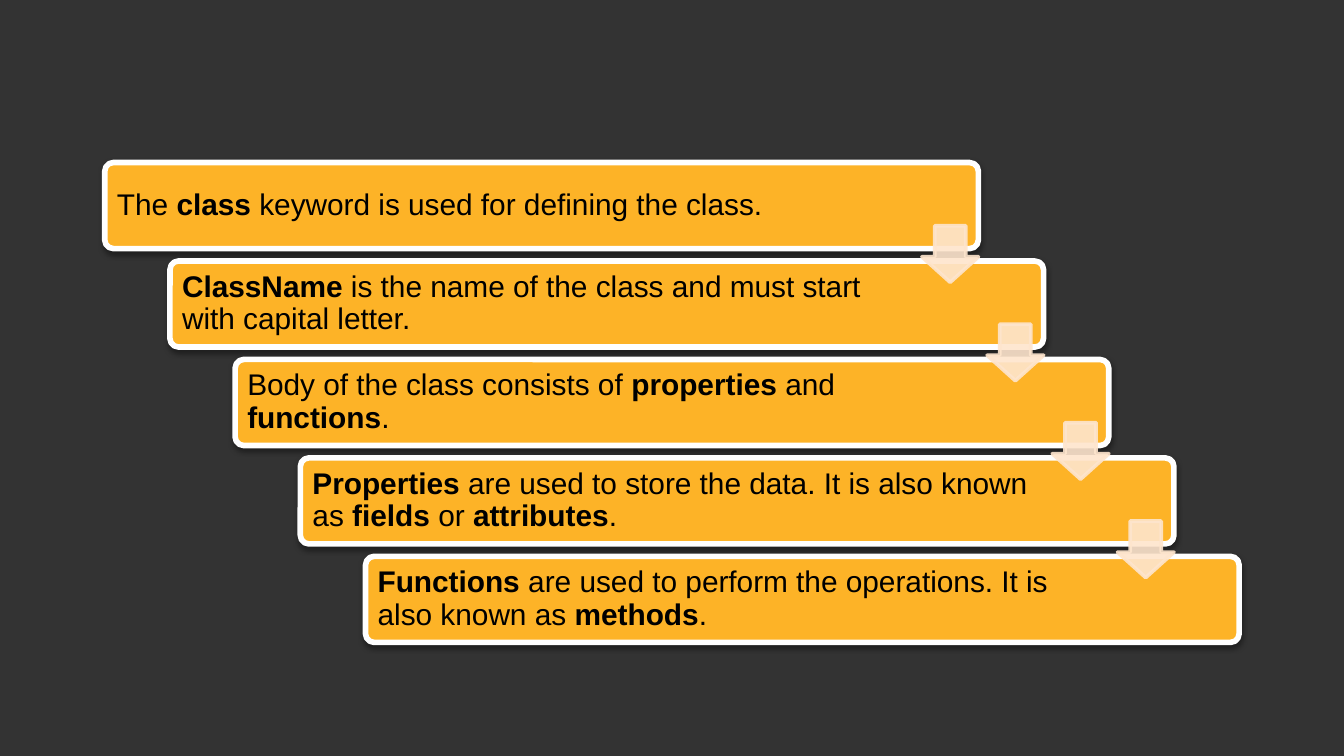
import dataclasses

import lxml.etree
import pptx
import pptx.dml.color
import pptx.enum.shapes
import pptx.enum.text
import pptx.oxml.ns
import pptx.util

Inches = pptx.util.Inches
Pt = pptx.util.Pt
MSO_SHAPE = pptx.enum.shapes.MSO_SHAPE
qn = pptx.oxml.ns.qn


@dataclasses.dataclass(frozen=True)
class Theme:
    background: str = "333333"
    bar: str = "FDB327"
    outline: str = "FFFFFF"
    arrow: str = "FEE5CD"
    text: str = "000000"
    shadow: str = "000000"
    font: str = "Arial"
    text_size: int = 16
    bar_line: int = 3
    arrow_line: int = 2


THEME = Theme()

SLIDE_WIDTH = Inches(10)
SLIDE_HEIGHT = SLIDE_WIDTH * 9 // 16
FIRST_LEFT, LAST_LEFT = 0.78, 2.72
FIRST_TOP, LAST_TOP = 1.21, 4.14
BAR_WIDTH, BAR_HEIGHT = 6.5, 0.64
TEXT_OFFSET, TEXT_HEIGHT = 0.02, 0.6
FIRST_TEXT_WIDTH, TEXT_WIDTH = 5.73, 5.56
ARROW_SIZE, ARROW_DROP = 0.42, 0.47

STATEMENTS = [
    [("The ", False), ("class", True),
     (" keyword is used for defining the class.", False)],
    [("ClassName", True),
     (" is the name of the class and must start with capital letter.", False)],
    [("Body of the class consists of ", False), ("properties", True),
     (" and ", False), ("functions", True), (".", False)],
    [("Properties", True),
     (" are used to store the data. It is also known as ", False),
     ("fields", True), (" or ", False), ("attributes", True), (".", False)],
    [("Functions", True),
     (" are used to perform the operations. It is also known as ", False),
     ("methods", True), (".", False)],
]

FRAME_FORMAT = {
    "word_wrap": True,
    "vertical_anchor": pptx.enum.text.MSO_ANCHOR.MIDDLE,
    "margin_left": Inches(0.07),
    "margin_right": Inches(0.07),
    "margin_top": Inches(0.07),
    "margin_bottom": Inches(0.07),
}
PARAGRAPH_FORMAT = {
    "alignment": pptx.enum.text.PP_ALIGN.LEFT,
    "line_spacing": 0.9,
}
FONT_FORMAT = {"name": THEME.font, "size": Pt(THEME.text_size)}


def rgb(color):
    return pptx.dml.color.RGBColor.from_string(color)


def apply_format(target, values):
    for name, value in values.items():
        setattr(target, name, value)


def add_block(slide, kind, box, adjustments, fill, line, line_width):
    block = slide.shapes.add_shape(kind, *map(Inches, box))
    for index, value in enumerate(adjustments):
        block.adjustments[index] = value
    block.shadow.inherit = False
    block.fill.solid()
    block.fill.fore_color.rgb = rgb(fill)
    block.line.color.rgb = rgb(line)
    block.line.width = Pt(line_width)
    return block


def set_alpha(color, percent):
    lxml.etree.SubElement(color, qn("a:alpha"), val=str(percent * 1000))


def add_shadow(block):
    effects = block._element.spPr.find(qn("a:effectLst"))
    shadow = lxml.etree.SubElement(
        effects, qn("a:outerShdw"), blurRad=str(Pt(3.1)), dist=str(Pt(1.6)),
        dir=str(90 * 60000), rotWithShape="0")
    color = lxml.etree.SubElement(shadow, qn("a:srgbClr"), val=THEME.shadow)
    set_alpha(color, 38)


def add_bar(slide, left, top):
    bar = add_block(slide, MSO_SHAPE.ROUNDED_RECTANGLE,
                    (left, top, BAR_WIDTH, BAR_HEIGHT), [0.1],
                    THEME.bar, THEME.outline, THEME.bar_line)
    add_shadow(bar)


def add_statement(slide, left, top, width, statement):
    box = (left + TEXT_OFFSET, top + TEXT_OFFSET, width, TEXT_HEIGHT)
    frame = slide.shapes.add_textbox(*map(Inches, box)).text_frame
    apply_format(frame, FRAME_FORMAT)
    paragraph = frame.paragraphs[0]
    apply_format(paragraph, PARAGRAPH_FORMAT)
    for words, bold in statement:
        run = paragraph.add_run()
        run.text = words
        apply_format(run.font, {**FONT_FORMAT, "bold": bold})
        run.font.color.rgb = rgb(THEME.text)


def add_step_arrow(slide, left, top):
    arrow = add_block(slide, MSO_SHAPE.DOWN_ARROW,
                      (left + BAR_WIDTH - ARROW_SIZE, top + ARROW_DROP,
                       ARROW_SIZE, ARROW_SIZE), [0.55, 0.45],
                      THEME.arrow, THEME.arrow, THEME.arrow_line)
    for color in arrow._element.spPr.iter(qn("a:srgbClr")):
        set_alpha(color, 90)


def stair_positions(count):
    across = (LAST_LEFT - FIRST_LEFT) / (count - 1)
    down = (LAST_TOP - FIRST_TOP) / (count - 1)
    return [(FIRST_LEFT + step * across, FIRST_TOP + step * down)
            for step in range(count)]


def main():
    deck = pptx.Presentation()
    apply_format(deck, {"slide_width": SLIDE_WIDTH,
                        "slide_height": SLIDE_HEIGHT})
    slide = deck.slides.add_slide(deck.slide_layouts[6])
    slide.background.fill.solid()
    slide.background.fill.fore_color.rgb = rgb(THEME.background)

    positions = stair_positions(len(STATEMENTS))
    widths = [FIRST_TEXT_WIDTH] + [TEXT_WIDTH] * (len(STATEMENTS) - 1)
    for (left, top), width, statement in zip(positions, widths, STATEMENTS):
        add_bar(slide, left, top)
        add_statement(slide, left, top, width, statement)
    for left, top in positions[:-1]:
        add_step_arrow(slide, left, top)

    deck.save("out.pptx")


if __name__ == "__main__":
    main()
